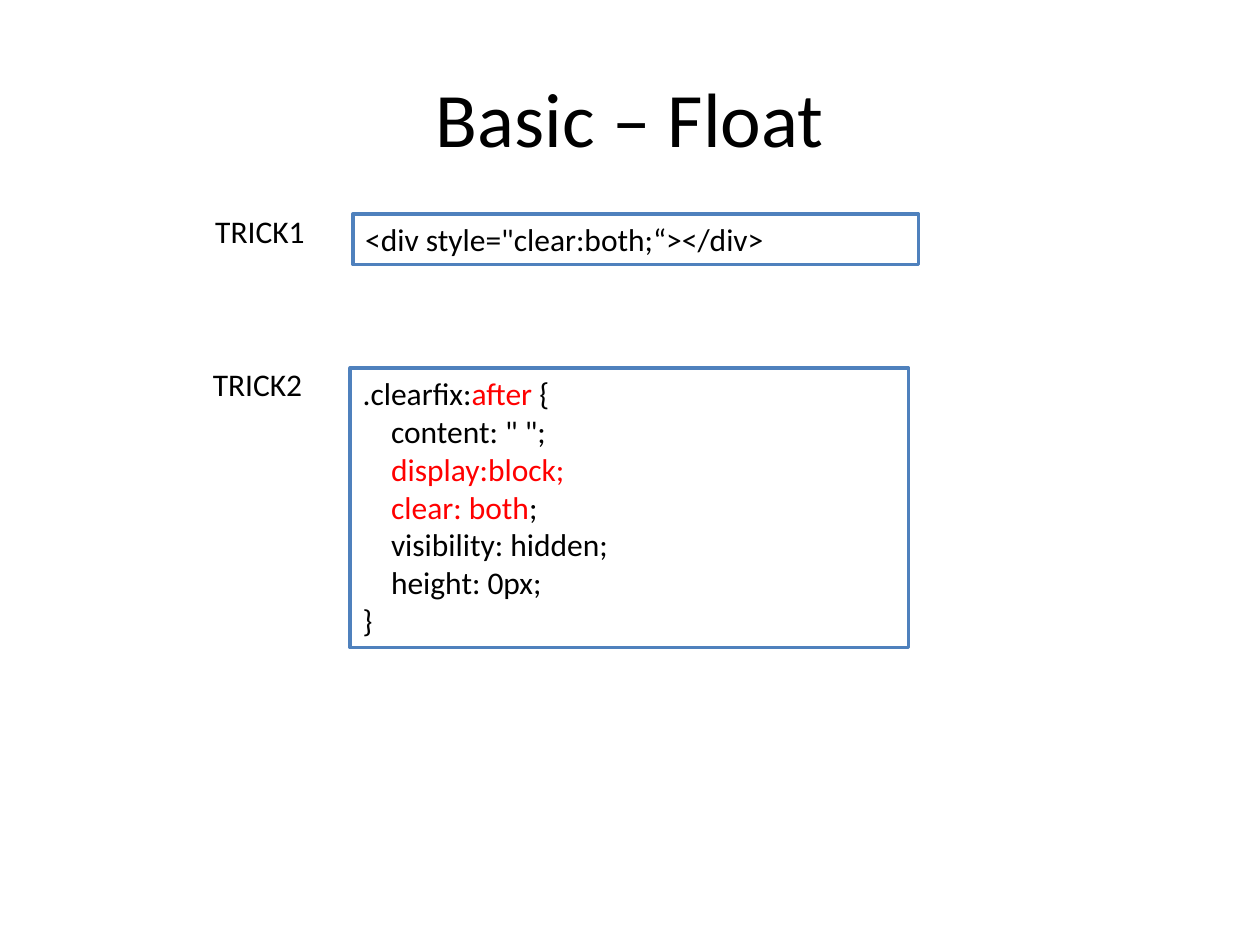
"""Builds the "Basic – Float" slide: two labelled tricks for clearing CSS floats."""
from dataclasses import dataclass

from pptx import Presentation
from pptx.dml.color import RGBColor
from pptx.enum.shapes import MSO_SHAPE
from pptx.enum.text import MSO_ANCHOR, MSO_AUTO_SIZE, PP_ALIGN
from pptx.shapes.autoshape import Shape
from pptx.slide import Slide
from pptx.util import Inches, Pt

RECTANGLE = MSO_SHAPE.RECTANGLE
LEFT, CENTER = PP_ALIGN.LEFT, PP_ALIGN.CENTER
TOP, MIDDLE = MSO_ANCHOR.TOP, MSO_ANCHOR.MIDDLE
GROW, FIXED = MSO_AUTO_SIZE.SHAPE_TO_FIT_TEXT, MSO_AUTO_SIZE.NONE

SLIDE_WIDTH, SLIDE_HEIGHT = Inches(10), Inches(7.5)
COLUMNS, ROWS = 100, 75
COLUMN, ROW = SLIDE_WIDTH / COLUMNS, SLIDE_HEIGHT / ROWS
BLANK_LAYOUT = 6


@dataclass(frozen=True)
class Theme:
    font: str = "Calibri"
    title_size: Pt = Pt(44)
    body_size: Pt = Pt(18)
    border_width: Pt = Pt(2)
    text: RGBColor = RGBColor(0, 0, 0)
    accent: RGBColor = RGBColor(255, 0, 0)
    paper: RGBColor = RGBColor(255, 255, 255)
    border: RGBColor = RGBColor(0x4F, 0x81, 0xBD)


@dataclass(frozen=True)
class Area:
    column: float
    row: float
    columns: float
    rows: float

    def lengths(self) -> tuple[int, int, int, int]:
        return (int(self.column * COLUMN), int(self.row * ROW),
                int(self.columns * COLUMN), int(self.rows * ROW))


@dataclass(frozen=True)
class Span:
    text: str
    highlighted: bool = False


Line = tuple[Span, ...]


@dataclass(frozen=True)
class Trick:
    name: str
    column: float
    row: float
    code_columns: float
    code_rows: float
    code: tuple[Line, ...]


THEME = Theme()
TITLE_AREA = Area(5, 3, 90, 12.5)
LABEL_COLUMNS, LABEL_ROWS = 9.2, 4
CODE_SHIFT_COLUMNS, CODE_SHIFT_ROWS = 11.9, 0.7

TRICKS = (
    Trick("TRICK1", 16.1, 16.3, 44.9, 4, (
        (Span('<div style="clear:both;“></div>'),),
    )),
    Trick("TRICK2", 15.9, 28.5, 44.3, 22.2, (
        (Span(".clearfix:"), Span("after", True), Span(" {")),
        (Span('    content: " ";'),),
        (Span("    "), Span("display:block;", True)),
        (Span("    "), Span("clear: both", True), Span(";")),
        (Span("    visibility: hidden;"),),
        (Span("    height: 0px;"),),
        (Span("}"),),
    )),
)


def apply_format(target: object, values: dict[str, object]) -> None:
    for name, value in values.items():
        setattr(target, name, value)


def write_lines(box: Shape, lines: tuple[Line, ...], size: Pt,
                alignment: PP_ALIGN, frame_format: dict[str, object]) -> None:
    frame = box.text_frame
    apply_format(frame, frame_format)
    for index, line in enumerate(lines):
        para = frame.add_paragraph() if index else frame.paragraphs[0]
        para.alignment = alignment
        for span in line:
            run = para.add_run()
            run.text = span.text
            apply_format(run.font, {"name": THEME.font, "size": size})
            run.font.color.rgb = THEME.accent if span.highlighted else THEME.text


def draw_title(page: Slide, text: str) -> None:
    box = page.shapes.add_textbox(*TITLE_AREA.lengths())
    write_lines(box, ((Span(text),),), THEME.title_size, CENTER,
                {"word_wrap": True, "auto_size": FIXED, "vertical_anchor": MIDDLE})


def draw_label(page: Slide, trick: Trick) -> None:
    area = Area(trick.column, trick.row, LABEL_COLUMNS, LABEL_ROWS)
    box = page.shapes.add_textbox(*area.lengths())
    write_lines(box, ((Span(trick.name),),), THEME.body_size, LEFT,
                {"word_wrap": False, "auto_size": GROW, "vertical_anchor": TOP})


def draw_code(page: Slide, trick: Trick) -> None:
    area = Area(trick.column + CODE_SHIFT_COLUMNS, trick.row + CODE_SHIFT_ROWS,
                trick.code_columns, trick.code_rows)
    box = page.shapes.add_shape(RECTANGLE, *area.lengths())
    box.shadow.inherit = False
    box.fill.solid()
    box.fill.fore_color.rgb = THEME.paper
    box.line.color.rgb = THEME.border
    box.line.width = THEME.border_width
    write_lines(box, trick.code, THEME.body_size, LEFT,
                {"word_wrap": True, "auto_size": GROW, "vertical_anchor": TOP})


def main() -> None:
    deck = Presentation()
    apply_format(deck, {"slide_width": SLIDE_WIDTH, "slide_height": SLIDE_HEIGHT})
    page = deck.slides.add_slide(deck.slide_layouts[BLANK_LAYOUT])
    draw_title(page, "Basic – Float")
    for trick in TRICKS:
        draw_label(page, trick)
        draw_code(page, trick)
    deck.save("out.pptx")


if __name__ == "__main__":
    main()
